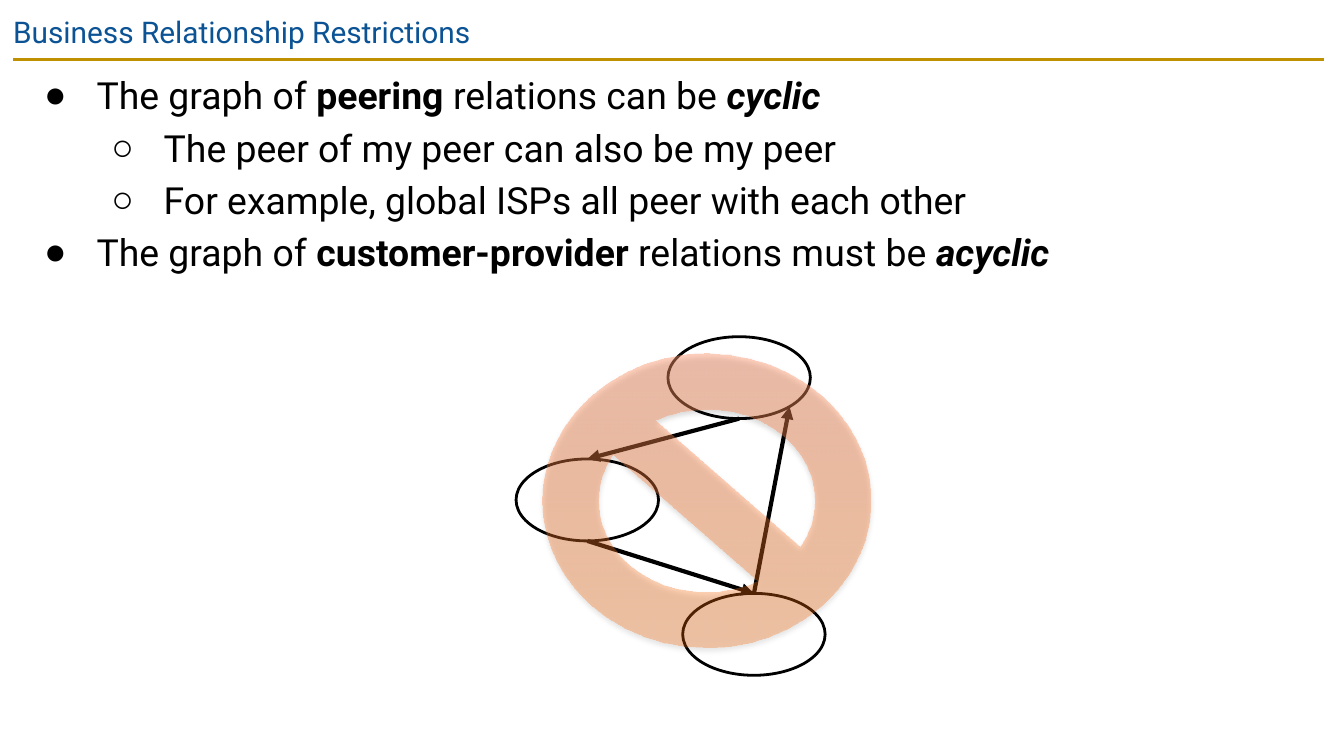
from math import sqrt

from lxml.etree import SubElement
from pptx import Presentation
from pptx.dml.color import RGBColor
from pptx.enum.shapes import MSO_CONNECTOR, MSO_SHAPE
from pptx.enum.text import MSO_ANCHOR
from pptx.oxml.ns import qn
from pptx.util import Inches, Pt

BLACK = RGBColor(0x00, 0x00, 0x00)
BLUE = RGBColor(0x0B, 0x53, 0x94)
GOLD = RGBColor(0xBF, 0x90, 0x00)
ORANGE = RGBColor(0xFF, 0x68, 0x00)
SALMON = RGBColor(0xFF, 0x97, 0x6D)

# Widescreen 16:9
prs = Presentation()
prs.slide_width, prs.slide_height = Inches(10), Inches(10 * 9 / 16)
slide = prs.slides.add_slide(prs.slide_layouts[6])


def add_text_frame(left, top, width, height):
    frame = slide.shapes.add_textbox(
        Inches(left), Inches(top), Inches(width), Inches(height)).text_frame
    frame_format = {"word_wrap": True, "vertical_anchor": MSO_ANCHOR.TOP}
    for side in ("left", "top", "right", "bottom"):
        frame_format[f"margin_{side}"] = Inches(0.1)
    for name, value in frame_format.items():
        setattr(frame, name, value)
    return frame


def add_line(start, end, color, width):
    line = slide.shapes.add_connector(
        MSO_CONNECTOR.STRAIGHT, *(Inches(v) for v in (*start, *end)))
    line.line.color.rgb = color
    line.line.width = Pt(width)
    SubElement(line._element.spPr, qn("a:effectLst"))
    return line


# Title and the rule below it
add_line((0.1, 0.44), (9.85, 0.44), GOLD, 1.5)
title = add_text_frame(0, 0, 10, 0.43).paragraphs[0].add_run()
title.text = "Business Relationship Restrictions"
title.font.name, title.font.size = "Roboto", Pt(16)
title.font.color.rgb = BLUE

# Bullets: level, then runs of text with their emphasis
BOLD = {"bold": True}
BOLD_ITALIC = {"bold": True, "italic": True}
bullets = [
    (0, [("The graph of ", {}), ("peering", BOLD),
         (" relations can be ", {}), ("cyclic", BOLD_ITALIC)]),
    (1, [("The peer of my peer can also be my peer", {})]),
    (1, [("For example, global ISPs all peer with each other", {})]),
    (0, [("The graph of ", {}), ("customer-provider", BOLD),
         (" relations must be ", {}), ("acyclic", BOLD_ITALIC)]),
]
body = add_text_frame(0.12, 0.44, 9.74, 4.95)
for i, (level, runs) in enumerate(bullets):
    bullet = body.add_paragraph() if i else body.paragraphs[0]
    bullet.level = level
    bullet.space_before = Pt(4)
    props = bullet._p.get_or_add_pPr()
    props.set("marL", str(Inches(0.5 * (level + 1))))
    props.set("indent", str(Inches(-0.39)))
    bullet_color = SubElement(props, qn("a:buClr"))
    SubElement(bullet_color, qn("a:srgbClr"), val=str(BLACK))
    SubElement(props, qn("a:buFont"), typeface="Arial")
    SubElement(props, qn("a:buChar"), char="●○"[level])
    for words, emphasis in runs:
        run = bullet.add_run()
        run.text = words
        run.font.color.rgb = BLACK
        for name, value in {"name": "Roboto", "size": Pt(20), **emphasis}.items():
            setattr(run.font, name, value)

# Networks, by centre
NODE_W, NODE_H = 1.06, 0.61
top_node, left_node, bottom_node = (5.5, 2.81), (4.37, 3.72), (5.61, 4.72)
for x, y in (top_node, left_node, bottom_node):
    node = slide.shapes.add_shape(
        MSO_SHAPE.OVAL, Inches(x - NODE_W / 2), Inches(y - NODE_H / 2),
        Inches(NODE_W), Inches(NODE_H))
    node.shadow.inherit = False
    node.fill.background()
    node.line.color.rgb = BLACK
    node.line.width = Pt(1.5)

# Arrows of the cycle: node, direction from its centre to its edge
UP, DOWN, DOWN_RIGHT = (0, -1), (0, 1), (sqrt(0.5), sqrt(0.5))
arrows = [
    (top_node, DOWN, left_node, UP),
    (left_node, DOWN, bottom_node, UP),
    (bottom_node, UP, top_node, DOWN_RIGHT),
]
for source, leaving, target, entering in arrows:
    start, end = (
        (x + dx * NODE_W / 2, y + dy * NODE_H / 2)
        for (x, y), (dx, dy) in ((source, leaving), (target, entering)))
    arrow = add_line(start, end, BLACK, 2.25)
    SubElement(arrow.line._get_or_add_ln(), qn("a:tailEnd"), type="triangle")

# Translucent prohibition sign over the cycle
sign = slide.shapes.add_shape(
    MSO_SHAPE.NO_SYMBOL, Inches(4.04), Inches(2.63), Inches(2.44), Inches(2.19))
sign.adjustments[0] = 0.19
sign.line.fill.background()
sign.fill.gradient()
sign.fill.gradient_angle = 90
for stop, position, color in zip(sign.fill.gradient_stops, (0, 1), (ORANGE, SALMON)):
    stop.position = position
    stop.color.rgb = color
sign_props = sign._element.spPr
for color, opacity in zip(sign_props.iter(qn("a:srgbClr")), (29, 45)):
    SubElement(color, qn("a:alpha"), val=str(opacity * 1000))
sign.shadow.inherit = False
shadow = SubElement(
    sign_props.find(qn("a:effectLst")), qn("a:outerShdw"), blurRad=str(Pt(3.1)),
    dist=str(Pt(1.8)), dir=str(90 * 60000), rotWithShape="0")
shadow_color = SubElement(shadow, qn("a:srgbClr"), val=str(BLACK))
SubElement(shadow_color, qn("a:alpha"), val="34000")

prs.save("out.pptx")
